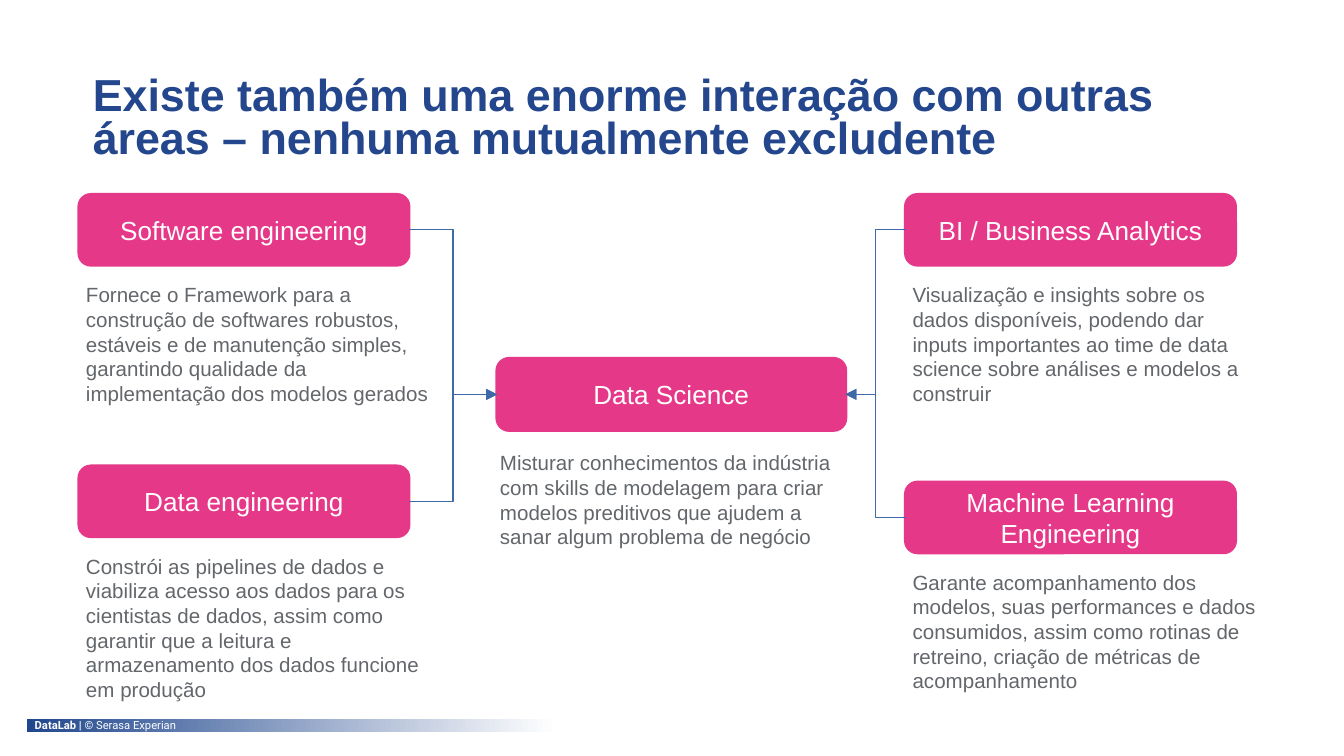
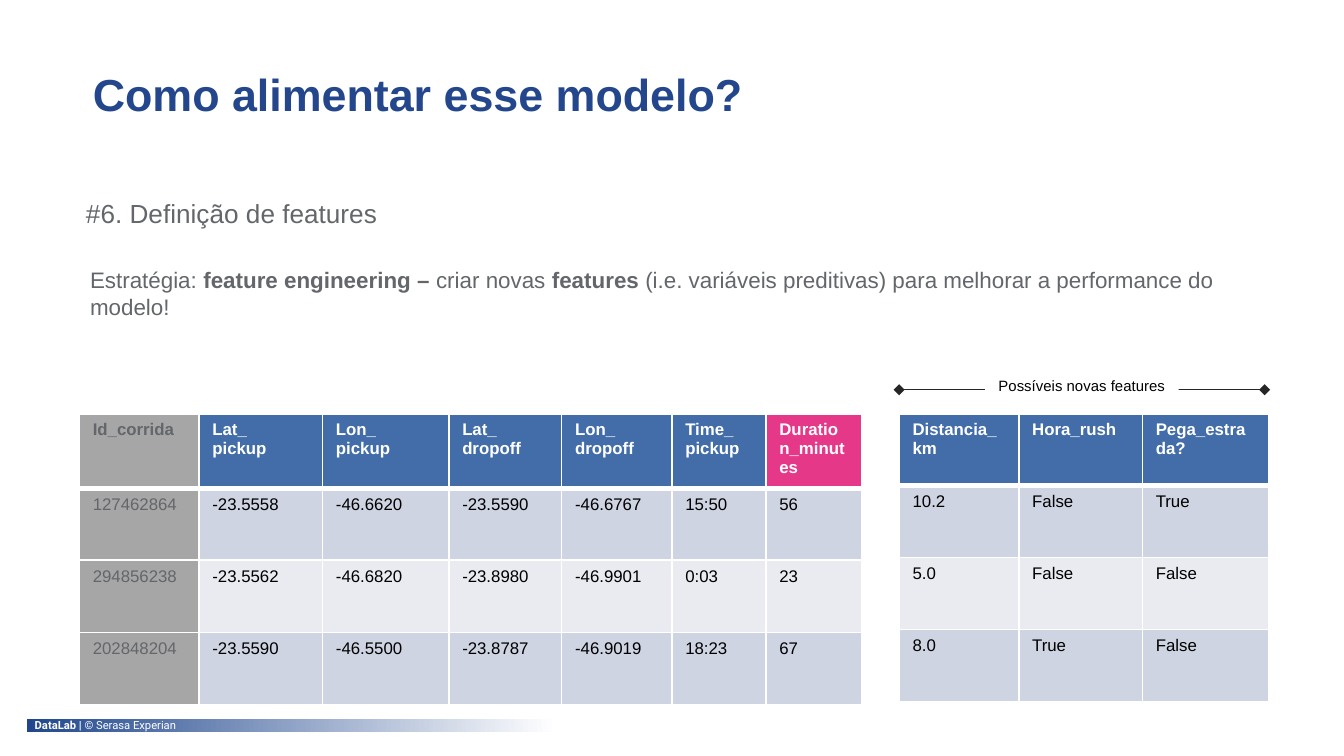
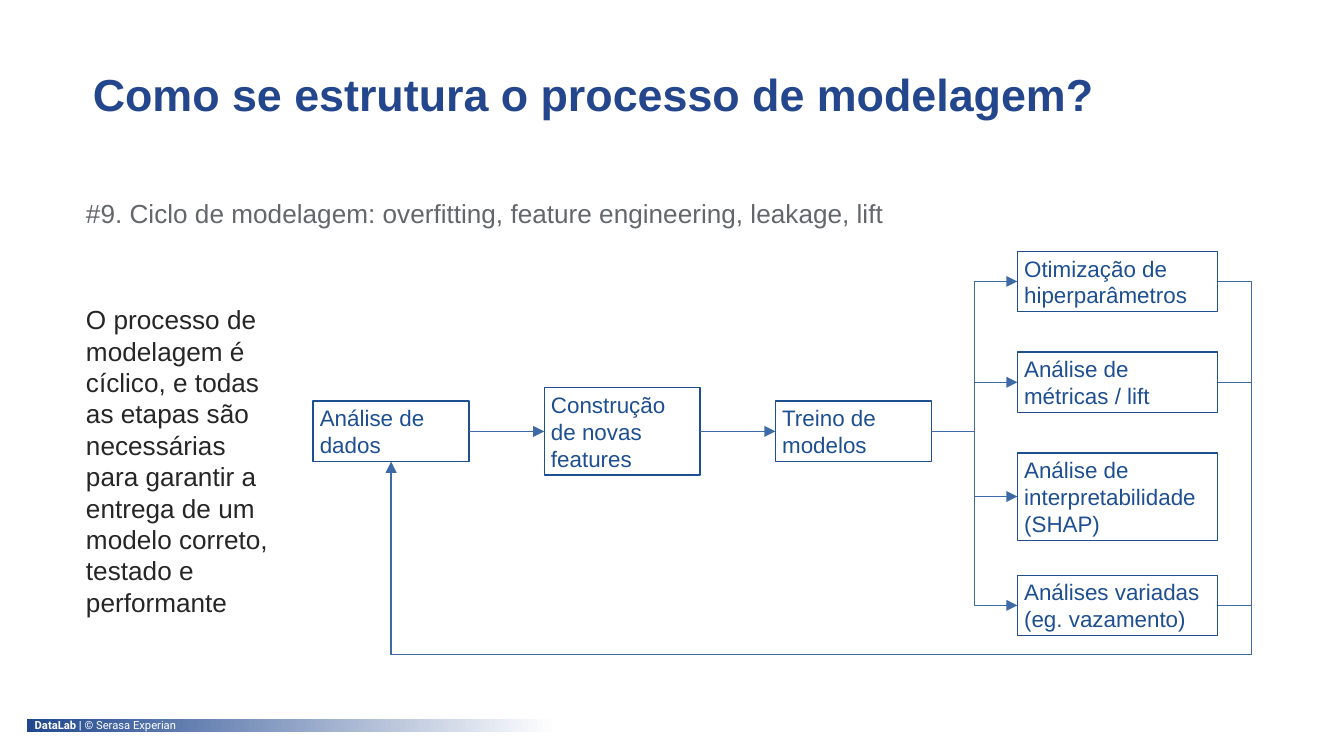
from lxml.etree import SubElement
from pptx import Presentation
from pptx.dml.color import RGBColor
from pptx.enum.shapes import MSO_CONNECTOR as LINK, MSO_SHAPE as SHAPE
from pptx.enum.text import MSO_ANCHOR as ANCHOR, MSO_AUTO_SIZE as FIT, PP_ALIGN as ALIGN
from pptx.oxml.ns import qn
from pptx.util import Inches, Pt

COLORS = {
    "title": "23468C", "band": "20478D", "white": "FFFFFF", "pink": "E63888",
    "gray": "63666A", "link": "3E6AA8", "step": "1D4F91", "ink": "262626",
    "black": "000000", "head": "426DA9", "id": "A6A6A6",
    "odd": "CFD4E2", "even": "E9EBF1",
}
TOP, LEFT, BOTTOM, RIGHT = range(4)  # connection sites of a box
EDGE = 0.59

TITLES = [
    "Existe também uma enorme interação com outras áreas – nenhuma mutualmente excludente",
    "Como alimentar esse modelo?",
    "Como se estrutura o processo de modelagem?",
]
FOOTER = [("DataLab | ", True), ("© Serasa Experian", False)]

# name, left, top, side that links to the centre, description
AREAS = [
    ("Software engineering", EDGE, 1.45, RIGHT,
     "Fornece o Framework para a construção de softwares robustos, estáveis e de "
     "manutenção simples, garantindo qualidade da implementação dos modelos gerados"),
    ("Data engineering", EDGE, 3.47, RIGHT,
     "Constrói as pipelines de dados e viabiliza acesso aos dados para os cientistas "
     "de dados, assim como garantir que a leitura e armazenamento dos dados funcione "
     "em produção"),
    ("BI / Business Analytics", 6.74, 1.45, LEFT,
     "Visualização e insights sobre os dados disponíveis, podendo dar inputs "
     "importantes ao time de data science sobre análises e modelos a construir"),
    ("Machine Learning Engineering", 6.74, 3.59, LEFT,
     "Garante acompanhamento dos modelos, suas performances e dados consumidos, assim "
     "como rotinas de retreino, criação de métricas de acompanhamento"),
]
CENTER = ("Data Science",
          "Misturar conhecimentos da indústria com skills de modelagem para criar "
          "modelos preditivos que ajudem a sanar algum problema de negócio")

FEATURES = "#6. Definição de features"
STRATEGY = [
    ("Estratégia: ", False), ("feature engineering –", True),
    (" criar novas ", False), ("features ", True),
    ("(i.e. variáveis preditivas) para melhorar a performance do modelo!", False),
]
RIDES = [
    ["Id_corrida", "Lat_\npickup", "Lon_\npickup", "Lat_\ndropoff", "Lon_\ndropoff",
     "Time_\npickup", "Duration_minutes"],
    ["127462864", "-23.5558", "-46.6620", "-23.5590", "-46.6767", "15:50", "56"],
    ["294856238", "-23.5562", "-46.6820", "-23.8980", "-46.9901", "0:03", "23"],
    ["202848204", "-23.5590", "-46.5500", "-23.8787", "-46.9019", "18:23", "67"],
]
EXTRAS = [
    ["Distancia_km", "Hora_rush", "Pega_estrada?"],
    ["10.2", "False", "True"],
    ["5.0", "False", "False"],
    ["8.0", "True", "False"],
]
WIDTHS = [0.89, 0.92, 0.94, 0.84, 0.82, 0.7, 0.71]
EXTRA_NOTE = "Possíveis novas features"

CYCLE = "#9. Ciclo de modelagem: overfitting, feature engineering, leakage, lift"
CYCLE_NOTE = ("O processo de modelagem é cíclico, e todas as etapas são necessárias para "
              "garantir a entrega de um modelo correto, testado e performante")
STEPS = [("Análise de dados", 0.45), ("Construção de novas features", 0.65),
         ("Treino de modelos", 0.45)]
REVIEWS = [
    ("Otimização de hiperparâmetros", 1.87, 0.45),
    ("Análise de métricas / lift", 2.62, 0.45),
    ("Análise de interpretabilidade (SHAP)", 3.37, 0.65),
    ("Análises variadas (eg. vazamento)", 4.28, 0.45),
]


def rgb(name):
    return RGBColor.from_string(COLORS[name])


def write(frame, text, size, color, bold=False, align=None, font="Arial"):
    """Fill the first paragraph with a string or with (text, bold) parts."""
    para = frame.paragraphs[0]
    if isinstance(text, str):
        para.text = text
        for run in para.runs:
            run.font.bold = bold
    else:
        for part, strong in text:
            run = para.add_run()
            run.text, run.font.bold = part, strong
    for run in para.runs:
        run.font.name, run.font.size = font, Pt(size)
        run.font.color.rgb = rgb(color)
    if align is not None:
        para.alignment = align
    return para


def tighten(frame):
    frame.word_wrap = True
    frame.margin_left = frame.margin_right = Inches(0.05)
    frame.margin_top = frame.margin_bottom = Inches(0.02)


def add_text(slide, text, at, size, color):
    frame = slide.shapes.add_textbox(*map(Inches, at)).text_frame
    tighten(frame)
    write(frame, text, size, color)


def add_box(slide, at, kind=SHAPE.RECTANGLE, fill=None, line=None, width=0.75):
    box = slide.shapes.add_shape(kind, *map(Inches, at))
    box.shadow.inherit = False
    if fill:
        box.fill.solid()
        box.fill.fore_color.rgb = rgb(fill)
    else:
        box.fill.background()
    if line:
        box.line.color.rgb = rgb(line)
        box.line.width = Pt(width)
    else:
        box.line.fill.background()
    return box


def add_line(slide, kind, ends=(0, 0, 0, 0), color="link", head=None, tail=None):
    line = slide.shapes.add_connector(kind, *map(Inches, ends))
    line.line.color.rgb = rgb(color)
    line.line.width = Pt(0.75)
    props = line.element.spPr
    for tag, style in (("a:headEnd", head), ("a:tailEnd", tail)):
        if style:
            SubElement(props.find(qn("a:ln")), qn(tag), type=style)
    SubElement(props, qn("a:effectLst"))
    return line


def join(slide, start, out, end, into, kind=LINK.ELBOW, tail="triangle"):
    line = add_line(slide, kind, tail=tail)
    line.begin_connect(start, out)
    line.end_connect(end, into)
    return line


def bend(line, share):
    """Place the elbow at a share of the connector's width."""
    guides = line.element.spPr.find(qn("a:prstGeom")).find(qn("a:avLst"))
    SubElement(guides, qn("a:gd"), name="adj1", fmla=f"val {round(share * 100000)}")


def make_corner(line):
    """Turn an elbow into a single corner that runs left, then up."""
    line.element.spPr.find(qn("a:prstGeom")).set("prst", "bentConnector2")
    frame = line.element.spPr.find(qn("a:xfrm"))
    for flip in ("flipH", "flipV"):
        frame.attrib.pop(flip, None)
    frame.set("rot", "10800000")


def set_layout(layout, slide):
    """Give the layout its title place and the footer band."""
    for holder in list(layout.placeholders)[1:]:
        holder.element.getparent().remove(holder.element)
    title = layout.placeholders[0]
    title.left, title.top, title.width, title.height = map(Inches, (EDGE, 0.53, 8.82, 0.43))
    band = add_box(slide, (0.2, 5.35, 3.94, 0.1))
    band.fill.gradient()
    band.fill.gradient_angle = 0
    for stop, name in zip(band.fill.gradient_stops, ("band", "white")):
        stop.color.rgb = rgb(name)
    credit = slide.shapes.add_textbox(*map(Inches, (0.16, 5.31, 2.85, 0.19)))
    credit.text_frame.word_wrap = True
    write(credit.text_frame, FOOTER, 6, "white", font="Roboto").line_spacing = 0.9
    for part in (band, credit):
        layout.shapes.element.append(part.element)


def set_title(slide, text):
    frame = slide.shapes.title.text_frame
    frame.word_wrap, frame.auto_size = True, FIT.NONE
    frame.vertical_anchor = ANCHOR.TOP
    write(frame, text, 24, "title", True, ALIGN.LEFT).line_spacing = Pt(23)


def add_area(slide, name, at):
    box = add_box(slide, at, SHAPE.ROUNDED_RECTANGLE, "pink", "pink", 2)
    box.text_frame.word_wrap = True
    box.text_frame.vertical_anchor = ANCHOR.MIDDLE
    write(box.text_frame, name, 14, "white", align=ALIGN.CENTER)
    return box


def add_step(slide, name, at):
    box = add_box(slide, at, line="step")
    tighten(box.text_frame)
    box.text_frame.vertical_anchor = ANCHOR.MIDDLE
    write(box.text_frame, name, 12, "step", align=ALIGN.LEFT)
    return box


def set_borders(cell, head):
    props = cell._tc.get_or_add_tcPr()
    for spot, side in enumerate("LRTB"):
        width = Pt(3 if head and side == "B" else 1)
        edge = SubElement(props, qn(f"a:ln{side}"), w=str(width))
        fill = SubElement(edge, qn("a:solidFill"))
        SubElement(fill, qn("a:srgbClr"), val=COLORS["white"])
        props.insert(spot, edge)


def add_grid(slide, rows, left, height, marks):
    """Draw a table; marks maps a header to the fill of its cells."""
    widths = WIDTHS[:len(rows[0])]
    table = slide.shapes.add_table(
        len(rows), len(widths), Inches(left), Inches(3.08),
        Inches(sum(widths)), Inches(height)).table
    for col, width in zip(table.columns, widths):
        col.width = Inches(width)
    for r, row in enumerate(rows):
        table.rows[r].height = Inches(height / len(rows))
        for c, text in enumerate(row):
            cell = table.cell(r, c)
            fill = "head" if r == 0 else "odd" if r % 2 else "even"
            color = "black" if r else "white"
            mark = marks.get(rows[0][c])
            if mark == "id":
                fill, color = mark, "gray"
            elif mark and r == 0:
                fill = mark
            cell.fill.solid()
            cell.fill.fore_color.rgb = rgb(fill)
            write(cell.text_frame, text, 9, color, r == 0)
            set_borders(cell, r == 0)


def draw_areas(slide):
    name, about = CENTER
    center = add_area(slide, name, (3.7, 2.67, 2.59, 0.53))
    add_text(slide, about, (3.67, 3.33, 2.67, 0.79), 11, "gray")
    for name, left, top, side, about in AREAS:
        box = add_area(slide, name, (left, top, 2.45, 0.52))
        tall = 1.16 if name == "Data engineering" else 0.97
        add_text(slide, about, (left, top + 0.63, 2.67, tall), 11, "gray")
        join(slide, box, side, center, LEFT if side == RIGHT else RIGHT)


def draw_features(slide):
    add_text(slide, FEATURES, (EDGE, 1.45, 8.7, 0.28), 14, "gray")
    add_text(slide, STRATEGY, (0.62, 1.96, 8.82, 0.45), 12, "gray")
    add_grid(slide, RIDES, EDGE, 2.15, {"Id_corrida": "id", "Duration_minutes": "pink"})
    add_grid(slide, EXTRAS, 6.69, 2.14, {})
    add_line(slide, LINK.STRAIGHT, (6.69, 2.9, 9.41, 2.9), "ink", "diamond", "diamond")
    note = add_box(slide, (7.33, 2.78, 1.44, 0.18), fill="white")
    tighten(note.text_frame)
    note.text_frame.vertical_anchor = ANCHOR.TOP
    write(note.text_frame, EXTRA_NOTE, 8, "black", align=ALIGN.CENTER)


def draw_cycle(slide):
    add_text(slide, CYCLE, (EDGE, 1.45, 8.7, 0.28), 14, "gray")
    add_text(slide, CYCLE_NOTE, (EDGE, 2.24, 1.56, 2.4), 14, "ink")
    steps = [add_step(slide, name, (2.33 + 1.72 * i, 3.21 - tall / 2, 1.16, tall))
             for i, (name, tall) in enumerate(STEPS)]
    for start, end in zip(steps, steps[1:]):
        join(slide, start, RIGHT, end, LEFT)
    joint = add_box(slide, (6.08, 4.81, 0.06, 0.12), fill="white")
    for name, top, tall in REVIEWS:
        box = add_step(slide, name, (7.57, top, 1.49, tall))
        join(slide, steps[-1], RIGHT, box, LEFT)
        if "SHAP" not in name:
            bend(join(slide, box, RIGHT, joint, RIGHT, tail=None), -0.25 / 2.92)
    make_corner(join(slide, joint, LEFT, steps[0], BOTTOM))
    join(slide, joint, LEFT, joint, RIGHT, LINK.STRAIGHT, None)


def main():
    deck = Presentation()
    deck.slide_width = Inches(10)
    deck.slide_height = deck.slide_width * 9 // 16
    layout = deck.slide_layouts[5]
    draws = (draw_areas, draw_features, draw_cycle)
    for i, (title, draw) in enumerate(zip(TITLES, draws)):
        slide = deck.slides.add_slide(layout)
        if i == 0:
            set_layout(layout, slide)
        set_title(slide, title)
        draw(slide)
    deck.save("out.pptx")


if __name__ == "__main__":
    main()
